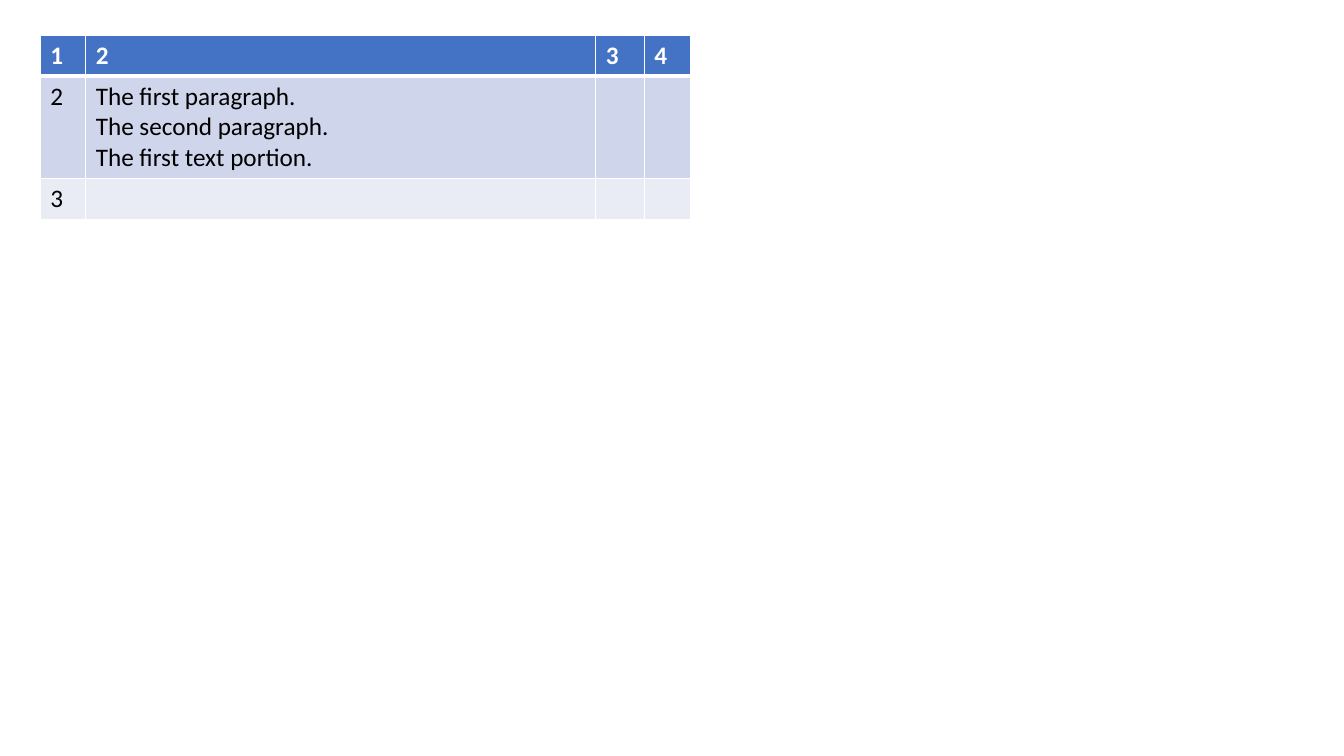
from lxml.etree import SubElement
from pptx import Presentation
from pptx.dml.color import RGBColor
from pptx.oxml.ns import qn
from pptx.util import Inches, Pt

WHITE = RGBColor(0xFF, 0xFF, 0xFF)
BLACK = RGBColor(0x00, 0x00, 0x00)
BLUE = RGBColor(0x44, 0x72, 0xC4)
BAND_DARK = RGBColor(0xCF, 0xD5, 0xEA)
BAND_LIGHT = RGBColor(0xE9, 0xEB, 0xF5)

COL_WIDTHS = [0.45, 5.06, 0.48, 0.46]
ROW_HEIGHTS = [0.4, 1.01, 0.4]
ROW_FILLS = [BLUE, BAND_DARK, BAND_LIGHT]
ROWS = [
    [["1"], ["2"], ["3"], ["4"]],
    [["2"], ["The first paragraph.", "The second paragraph.",
            "The first text portion."], [], []],
    [["3"], [], [], []],
]


def set_borders(cell, top, bottom):
    tcPr = cell._tc.get_or_add_tcPr()
    for side, width in (("L", 1), ("R", 1), ("T", top), ("B", bottom)):
        ln = SubElement(tcPr, qn(f"a:ln{side}"), w=str(Pt(width)))
        fill = SubElement(ln, qn("a:solidFill"))
        SubElement(fill, qn("a:srgbClr"), val=str(WHITE))


def fill_cell(cell, lines, fill, header):
    cell.fill.solid()
    cell.fill.fore_color.rgb = fill
    tf = cell.text_frame
    for i, line in enumerate(lines):
        p = tf.add_paragraph() if i else tf.paragraphs[0]
        r = p.add_run()
        r.text = line
        r.font.name = "Calibri"
        r.font.size = Pt(18)
        r.font.bold = header
        r.font.color.rgb = WHITE if header else BLACK


def add_grid(s, left, top):
    table = s.shapes.add_table(
        len(ROWS), len(COL_WIDTHS), Inches(left), Inches(top),
        Inches(sum(COL_WIDTHS)), Inches(sum(ROW_HEIGHTS))).table
    for col, width in zip(table.columns, COL_WIDTHS):
        col.width = Inches(width)
    for i, row in enumerate(table.rows):
        row.height = Inches(ROW_HEIGHTS[i])
        for cell, lines in zip(row.cells, ROWS[i]):
            set_borders(cell, 3 if i == 1 else 1, 3 if i == 0 else 1)
            fill_cell(cell, lines, ROW_FILLS[i], i == 0)


def main():
    prs = Presentation()
    prs.slide_width = Inches(13.33)
    prs.slide_height = Inches(7.5)
    s = prs.slides.add_slide(prs.slide_layouts[6])
    add_grid(s, 0.4, 0.35)
    prs.save("out.pptx")


if __name__ == "__main__":
    main()
